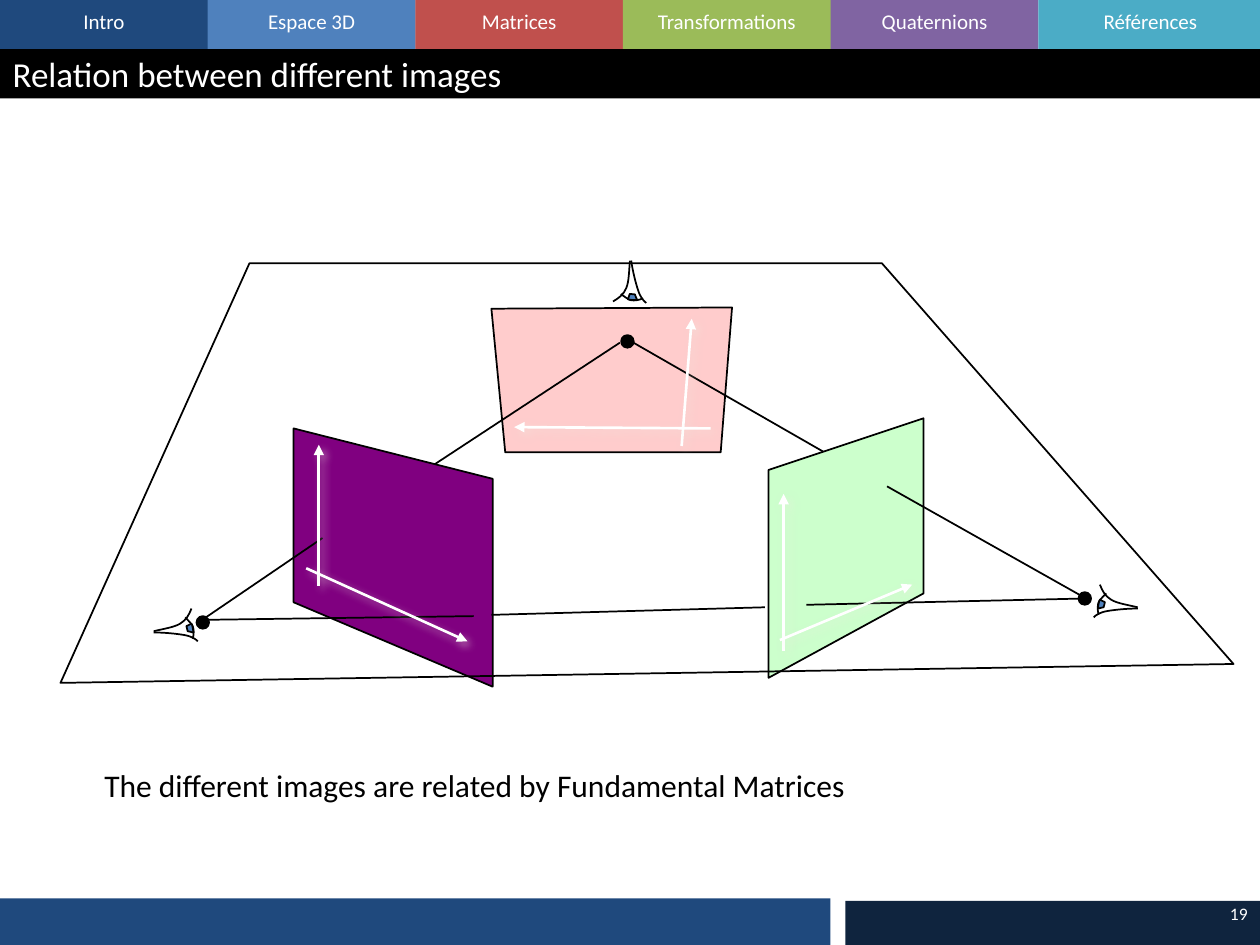
"""Build a slide on how three camera views of one scene relate."""
from dataclasses import dataclass
from math import cos, radians, sin

from lxml import etree
from pptx import Presentation
from pptx.dml.color import RGBColor
from pptx.enum.shapes import MSO_CONNECTOR, MSO_SHAPE
from pptx.enum.text import MSO_ANCHOR, PP_ALIGN
from pptx.oxml.ns import qn
from pptx.util import Inches, Pt

RECT, OVAL = MSO_SHAPE.RECTANGLE, MSO_SHAPE.OVAL
STRAIGHT = MSO_CONNECTOR.STRAIGHT
LEFT, CENTER, RIGHT = PP_ALIGN.LEFT, PP_ALIGN.CENTER, PP_ALIGN.RIGHT
TOP, MIDDLE = MSO_ANCHOR.TOP, MSO_ANCHOR.MIDDLE

Point = tuple[float, float]


@dataclass(frozen=True)
class Theme:
    font: str = "Calibri"
    black: str = "000000"
    white: str = "FFFFFF"
    navy: str = "1F497D"
    night: str = "0F243E"
    blue: str = "4F81BD"
    red: str = "C0504D"
    green: str = "9BBB59"
    purple: str = "8064A2"
    aqua: str = "4BACC6"
    rose: str = "FF0000"
    plum: str = "800080"
    mint: str = "CCFFCC"
    glow: str = "EEECE1"
    title: int = 20
    body: int = 18
    tab: int = 12
    small: int = 10
    thin: float = 1
    thick: float = 1.5


@dataclass(frozen=True)
class Tab:
    label: str
    color: str
    width: float = 1.65


@dataclass(frozen=True)
class Plane:
    points: list[Point]
    color: str | None = None
    alpha: int = 100


@dataclass(frozen=True)
class Eye:
    tip: Point
    angle: float
    flip: int


@dataclass(frozen=True)
class Line:
    start: Point
    end: Point


THEME = Theme()
TABS = [Tab("Intro", THEME.navy), Tab("Espace 3D", THEME.blue),
        Tab("Matrices", THEME.red), Tab("Transformations", THEME.green),
        Tab("Quaternions", THEME.purple), Tab("Références", THEME.aqua, 1.78)]
TOP_VIEW = Plane([(3.9, 2.45), (5.81, 2.44), (5.72, 3.59), (4.01, 3.59)], THEME.rose, 20)
SIDE_VIEWS = [Plane([(2.33, 3.4), (2.33, 4.78), (3.91, 5.45), (3.91, 3.8)], THEME.plum),
              Plane([(7.33, 3.32), (7.33, 4.71), (6.1, 5.38), (6.1, 3.73)], THEME.mint)]
GROUND = Plane([(0.48, 5.42), (9.79, 5.27), (7, 2.09), (1.98, 2.09)])
TOP_RAYS = [Line((3, 3.98), (4.92, 2.72)), Line((6.7, 3.68), (5.01, 2.71))]
SIDE_RAYS = [Line((1.59, 4.93), (2.56, 4.27)), Line((8.62, 4.75), (7.04, 3.86))]
BASE_RAYS = [Line((1.6, 4.92), (3.76, 4.89)), Line((3.9, 4.88), (6.07, 4.82)),
             Line((6.4, 4.8), (8.61, 4.75))]
AXES = [Line((2.53, 4.65), (2.53, 3.53)), Line((2.43, 4.51), (3.71, 5.09)),
        Line((6.22, 5.17), (6.22, 3.92)), Line((6.19, 5.08), (7.24, 4.64)),
        Line((5.41, 3.54), (5.49, 2.53)), Line((5.64, 3.4), (4.08, 3.39))]
SIDE_EYES = [Eye((9.03, 4.82), 180, -1), Eye((1.22, 5.01), 0, 1)]
TOP_EYE = Eye((5, 2.07), 81.7, -1)
LIDS = [
    [(0, 0), (.08, -.02), (.16, -.03), (.21, -.06), (.26, -.09), (.28, -.13), (.3, -.18)],
    [(0, .01), (.09, .01), (.18, .02), (.24, .03), (.3, .04), (.33, .06), (.35, .08)],
    [(.25, -.11), (.27, -.09), (.3, -.06), (.31, -.04), (.32, -.01), (.32, .02), (.31, .06)],
]
PUPIL = [(.3, -.06), (.29, -.06), (.27, -.04), (.26, -.04), (.26, -.03), (.27, -.01),
         (.27, 0), (.28, 0), (.31, .01), (.31, .01), (.32, .01), (.31, -.02),
         (.31, -.03), (.31, -.04), (.3, -.06), (.3, -.06)]


def rgb(color: str) -> RGBColor:
    return RGBColor.from_string(color)


def paint(shape, color: str | None, line: bool = True) -> None:
    shape.shadow.inherit = False
    if color:
        shape.fill.solid()
        shape.fill.fore_color.rgb = rgb(color)
    else:
        shape.fill.background()
    if line:
        shape.line.color.rgb = rgb(THEME.black)
        shape.line.width = Pt(THEME.thin)
    else:
        shape.line.fill.background()


def add_block(shapes, kind, box: tuple, color: str, line: bool = False) -> None:
    paint(shapes.add_shape(kind, *map(Inches, box)), color, line)


def write(shape, text: str, size: int, color: str, align=LEFT, anchor=TOP) -> None:
    frame = shape.text_frame
    frame.word_wrap = True
    frame.vertical_anchor = anchor
    par = frame.paragraphs[0]
    par.alignment = align
    run = par.add_run()
    run.text = text
    run.font.name = THEME.font
    run.font.size = Pt(size)
    run.font.color.rgb = rgb(color)


def add_text(shapes, box: tuple, *style) -> None:
    write(shapes.add_textbox(*map(Inches, box)), *style)


def add_path(shapes, points: list[Point], color: str | None = None, close: bool = False):
    spots = [(Inches(x), Inches(y)) for x, y in points]
    pen = shapes.build_freeform(*spots[0])
    pen.add_line_segments(spots[1:], close=close)
    shape = pen.convert_to_shape()
    paint(shape, color)
    return shape


def add_plane(shapes, plane: Plane) -> None:
    shape = add_path(shapes, plane.points, plane.color, True)
    if plane.alpha < 100:
        tint = shape.element.spPr.find(qn("a:solidFill"))[0]
        etree.SubElement(tint, qn("a:alpha"), val=str(plane.alpha * 1000))


def bend(shape) -> None:
    route = next(shape.element.iter(qn("a:path")))
    legs = route.findall(qn("a:lnTo"))
    for first in range(0, len(legs) - 2, 3):
        arc = etree.Element(qn("a:cubicBezTo"))
        legs[first].addprevious(arc)
        for leg in legs[first:first + 3]:
            arc.append(leg[0])
            route.remove(leg)


def add_eye(shapes, eye: Eye) -> None:
    c, s = cos(radians(eye.angle)), sin(radians(eye.angle))
    group = shapes.add_group_shape()

    def draw(points: list[Point], *style) -> None:
        spots = [(eye.tip[0] + x * c - eye.flip * y * s,
                  eye.tip[1] + x * s + eye.flip * y * c) for x, y in points]
        bend(add_path(group.shapes, spots, *style))

    for lid in LIDS:
        draw(lid)
    draw(PUPIL, THEME.blue, True)


def add_line(shapes, line: Line, axis: bool = False) -> None:
    link = shapes.add_connector(STRAIGHT, *map(Inches, line.start + line.end))
    link.line.color.rgb = rgb(THEME.white if axis else THEME.black)
    link.line.width = Pt(THEME.thick if axis else THEME.thin)
    effect = etree.SubElement(link.element.spPr, qn("a:effectLst"))
    if axis:
        etree.SubElement(link.element.spPr.find(qn("a:ln")), qn("a:tailEnd"), type="triangle")
        shade = etree.SubElement(effect, qn("a:outerShdw"), blurRad=str(Pt(5)),
                                 dist=str(Pt(3)), dir=str(45 * 60000))
        tint = etree.SubElement(shade, qn("a:srgbClr"), val=THEME.glow)
        etree.SubElement(tint, qn("a:alpha"), val="50000")


def add_dot(shapes, left: float, top: float) -> None:
    add_block(shapes, OVAL, (left, top, .1, .1), THEME.black, True)


def add_frame(shapes) -> None:
    for spot, tab in enumerate(TABS):
        left = spot * 1.648
        add_block(shapes, RECT, (left, 0, tab.width, .39), tab.color)
        add_text(shapes, (left, .02, tab.width, .3), tab.label, THEME.tab, THEME.white, CENTER)
    add_block(shapes, RECT, (0, .39, 10.04, .39), THEME.black)
    add_block(shapes, RECT, (-.01, 7.13, 6.6, .38), THEME.navy)
    add_block(shapes, RECT, (6.71, 7.15, 3.31, .38), THEME.night)
    add_text(shapes, (7.67, 7, 2.33, .5), "19", THEME.small, THEME.white, RIGHT, MIDDLE)
    title = shapes.title
    title.element.getparent().append(title.element)
    title.left, title.top, title.width, title.height = map(Inches, (0, .39, 10.02, .39))
    write(title, "Relation between different images", THEME.title, THEME.white, LEFT, MIDDLE)


def add_scene(shapes) -> None:
    add_plane(shapes, TOP_VIEW)
    add_dot(shapes, 4.93, 2.66)
    for ray in TOP_RAYS:
        add_line(shapes, ray)
    for eye in SIDE_EYES:
        add_eye(shapes, eye)
    for view in SIDE_VIEWS:
        add_plane(shapes, view)
    for ray in SIDE_RAYS:
        add_line(shapes, ray)
    add_dot(shapes, 1.56, 4.89)
    add_dot(shapes, 8.56, 4.7)
    for ray in BASE_RAYS:
        add_line(shapes, ray)
    add_plane(shapes, GROUND)
    add_eye(shapes, TOP_EYE)
    for axis in AXES:
        add_line(shapes, axis, True)


def main() -> None:
    deck = Presentation()
    deck.slide_width, deck.slide_height = Inches(10), Inches(7.5)
    shapes = deck.slides.add_slide(deck.slide_layouts[5]).shapes
    add_frame(shapes)
    add_scene(shapes)
    add_text(shapes, (.73, 6.03, 8.77, .5),
             "The different images are related by Fundamental Matrices", THEME.body, THEME.black)
    deck.save("out.pptx")


if __name__ == "__main__":
    main()
